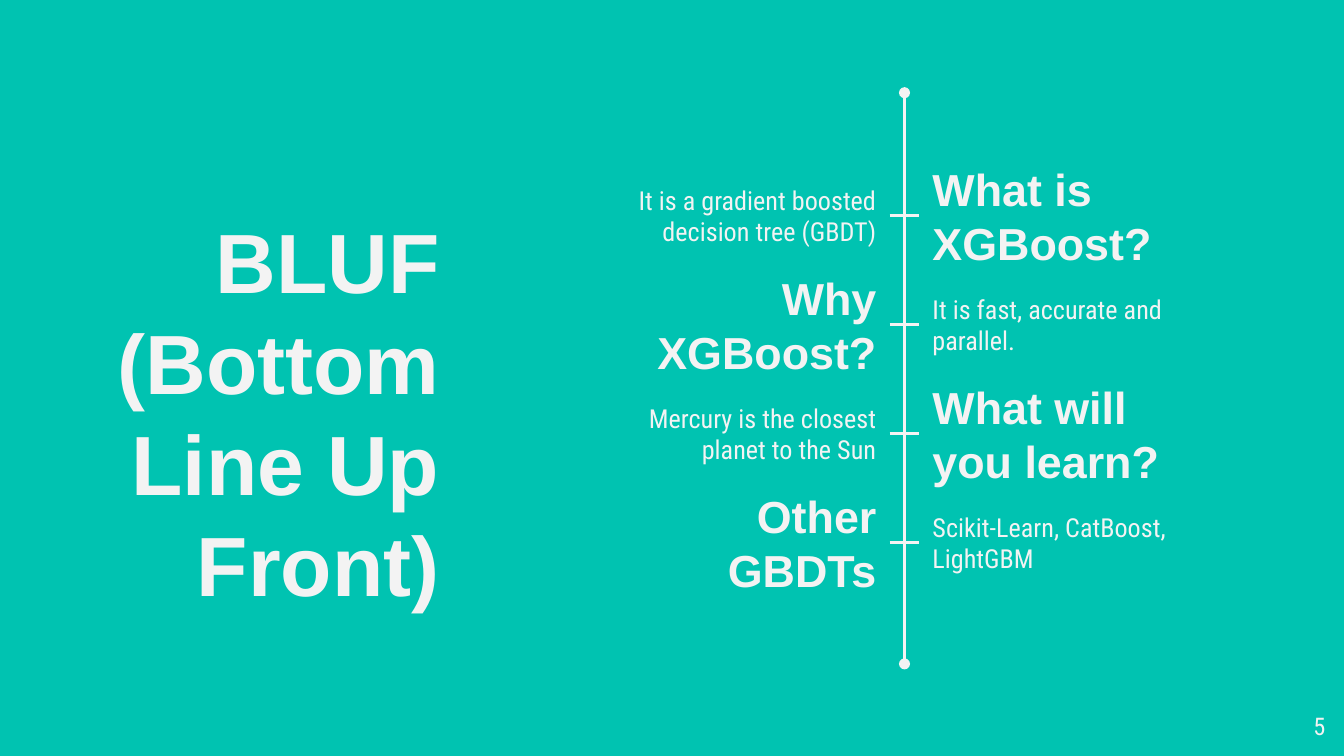
from dataclasses import dataclass

from lxml import etree
from pptx import Presentation
from pptx.dml.color import RGBColor
from pptx.enum.shapes import MSO_CONNECTOR
from pptx.enum.text import MSO_ANCHOR, MSO_AUTO_SIZE, PP_ALIGN
from pptx.oxml.ns import qn
from pptx.slide import Slide
from pptx.util import Inches, Pt

TEAL = RGBColor(0x00, 0xC3, 0xB1)
OFF_WHITE = RGBColor(0xF3, 0xF3, 0xF3)

HEADING = dict(font="Arial", size=24, bold=True)
DETAIL = dict(font="Roboto Condensed", size=14)


def write(frame, text, font, size, bold=False, color=OFF_WHITE,
          align=PP_ALIGN.LEFT, anchor=MSO_ANCHOR.TOP):
    """Fill a text frame with one formatted paragraph."""
    frame.word_wrap = True
    frame.auto_size = MSO_AUTO_SIZE.NONE
    frame.vertical_anchor = anchor
    frame.margin_left = frame.margin_right = Inches(0.1)
    frame.margin_top = frame.margin_bottom = Inches(0.1)
    paragraph = frame.paragraphs[0]
    paragraph.alignment = align
    paragraph.line_spacing = 1.0
    run = paragraph.add_run()
    run.text = text
    run.font.name = font
    run.font.size = Pt(size)
    run.font.bold = bold
    run.font.color.rgb = color


@dataclass
class SlideBuilder:
    slide: Slide
    color: RGBColor = OFF_WHITE
    line_width: float = 1.5

    def background(self, color):
        fill = self.slide.background.fill
        fill.solid()
        fill.fore_color.rgb = color

    def title(self, text, left, top, width, height, **style):
        title = self.slide.shapes.title
        title.left, title.top = Inches(left), Inches(top)
        title.width, title.height = Inches(width), Inches(height)
        write(title.text_frame, text, color=self.color, **style)

    def text(self, text, left, top, width, height, **style):
        box = self.slide.shapes.add_textbox(
            Inches(left), Inches(top), Inches(width), Inches(height))
        write(box.text_frame, text, color=self.color, **style)
        return box

    def line(self, x1, y1, x2, y2, ends=None):
        line = self.slide.shapes.add_connector(
            MSO_CONNECTOR.STRAIGHT, Inches(x1), Inches(y1), Inches(x2), Inches(y2))
        line.line.color.rgb = self.color
        line.line.width = Pt(self.line_width)
        if ends:
            outline = line.line._get_or_add_ln()
            for tag in ("a:headEnd", "a:tailEnd"):
                etree.SubElement(outline, qn(tag), type=ends)
        etree.SubElement(line._element.spPr, qn("a:effectLst"))
        return line


def main():
    presentation = Presentation()
    # Widescreen 16:9
    presentation.slide_width = Inches(10)
    presentation.slide_height = Inches(10 * 9 / 16)
    builder = SlideBuilder(presentation.slides.add_slide(presentation.slide_layouts[5]))
    builder.background(TEAL)

    # Title
    builder.title("BLUF (Bottom Line Up Front)", 0.35, 1.46, 3.02, 1.89,
                  font="Arial", size=45, bold=True, align=PP_ALIGN.RIGHT)

    # Vertical timeline
    builder.line(6.73, 0.69, 6.73, 4.94, ends="oval")

    # Questions and answers, swapping sides on every row
    rows = [
        ("What is XGBoost?", "It is a gradient boosted decision tree (GBDT)"),
        ("Why XGBoost?", "It is fast, accurate and parallel."),
        ("What will you learn?", "Mercury is the closest planet to the Sun"),
        ("Other GBDTs", "Scikit-Learn, CatBoost, LightGBM"),
    ]
    left_x, right_x, first_top, pitch = 4.36, 6.84, 1.26, 0.81
    width, height = 2.26, 0.69
    for index, (question, answer) in enumerate(rows):
        top = first_top + index * pitch
        sides = [(answer, DETAIL), (question, HEADING)]
        if index % 2:
            sides.reverse()
        (left_text, left_style), (right_text, right_style) = sides
        left_entry = builder.text(left_text, left_x, top, width, height,
                                  align=PP_ALIGN.RIGHT, anchor=MSO_ANCHOR.MIDDLE,
                                  **left_style)
        right_entry = builder.text(right_text, right_x, top, width, height,
                                   anchor=MSO_ANCHOR.MIDDLE, **right_style)
        middle = top + height / 2
        tick = builder.line(left_x + width, middle, right_x, middle)
        tick.begin_connect(left_entry, 3)
        tick.end_connect(right_entry, 1)

    # Slide number
    builder.text("5", 9.36, 5.19, 0.6, 0.43, font="Roboto Condensed", size=13,
                 align=PP_ALIGN.RIGHT)

    presentation.save("out.pptx")


if __name__ == "__main__":
    main()
